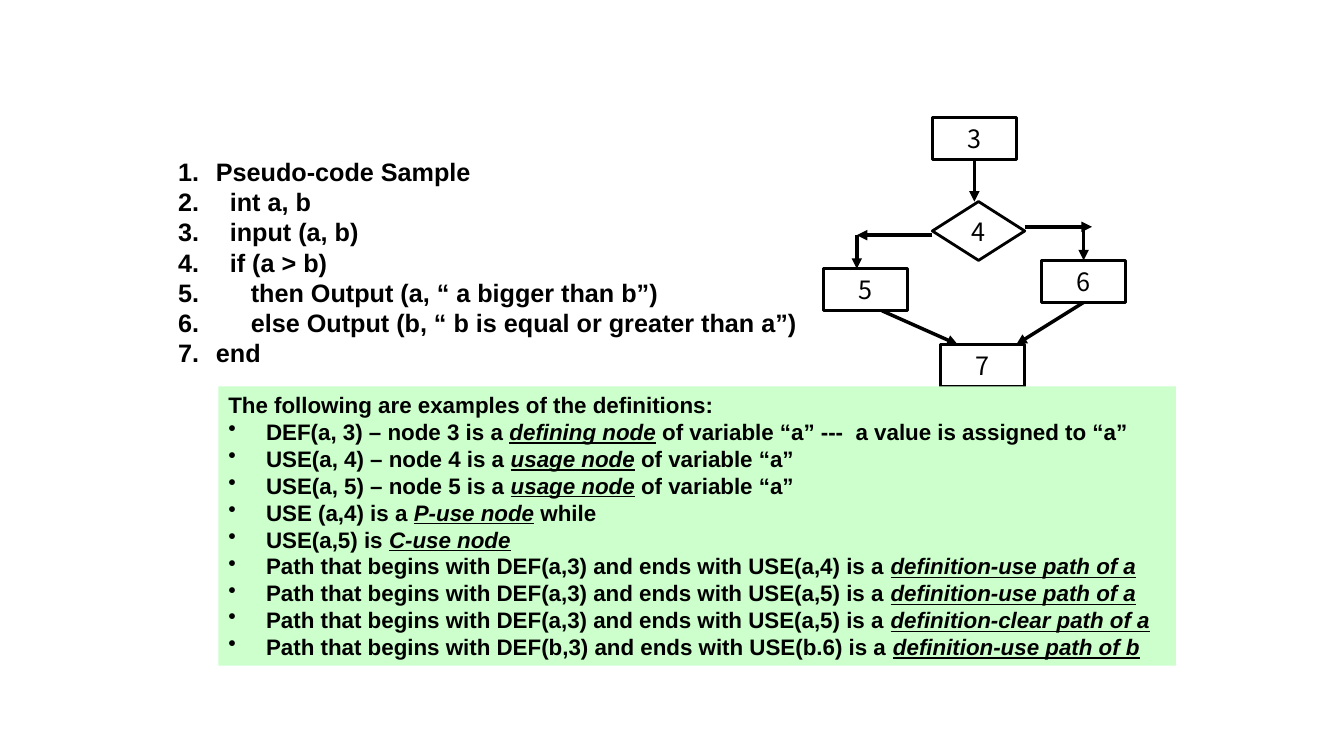
from lxml import etree
from pptx import Presentation
from pptx.dml.color import RGBColor
from pptx.enum.shapes import MSO_CONNECTOR, MSO_SHAPE
from pptx.enum.text import MSO_ANCHOR, MSO_AUTO_SIZE, PP_ALIGN
from pptx.oxml.ns import qn
from pptx.util import Pt

PX = 9525  # EMU in one px, 96 px to the inch
BLACK = RGBColor(0x00, 0x00, 0x00)
WHITE = RGBColor(0xFF, 0xFF, 0xFF)
GREEN = RGBColor(0xCC, 0xFF, 0xCC)
RECTANGLE, DIAMOND = MSO_SHAPE.RECTANGLE, MSO_SHAPE.DIAMOND
STRAIGHT = MSO_CONNECTOR.STRAIGHT
CENTER, LEFT = PP_ALIGN.CENTER, PP_ALIGN.LEFT
TOP, MIDDLE = MSO_ANCHOR.TOP, MSO_ANCHOR.MIDDLE
NO_AUTOSIZE = MSO_AUTO_SIZE.NONE

HANGING_INDENT = 36
NUMBER = ("a:buAutoNum", {"type": "arabicPeriod"})
BULLET = ("a:buChar", {"char": "•"})

CODE_FONT = {"name": "Arial", "size": Pt(18), "bold": True}
LIST_FONT = {"name": "Arial", "size": Pt(16), "bold": True}
NODE_FONT = {"name": "Noto Sans CJK SC", "size": Pt(18)}
EMPHASIS = {"italic": True, "underline": True}

CODE_LINES = [
    "Pseudo-code Sample",
    "  int a, b",
    "  input (a, b)",
    "  if (a > b)",
    "     then Output (a, “ a bigger than b”)",
    "     else Output (b, “ b is equal or greater than a”)",
    "end",
]

# Words between underscores are italic and underlined
HEADING = "The following are examples of the definitions:"
DEFINITIONS = [
    "DEF(a, 3) – node 3 is a _defining node_ of variable “a” ---  a value is assigned to “a”",
    "USE(a, 4) – node 4 is a _usage node_ of variable “a”",
    "USE(a, 5) – node 5 is a _usage node_ of variable “a”",
    "USE (a,4) is a _P-use node_ while",
    "USE(a,5) is _C-use node_",
    "Path that begins with DEF(a,3) and ends with USE(a,4) is a _definition-use path of a_",
    "Path that begins with DEF(a,3) and ends with USE(a,5) is a _definition-use path of a_",
    "Path that begins with DEF(a,3) and ends with USE(a,5) is a _definition-clear path of a_",
    "Path that begins with DEF(b,3) and ends with USE(b.6) is a _definition-use path of b_",
]

# Label, outline, left, top, width, height
NODES = [
    ("3", RECTANGLE, 888, 112, 80, 40),
    ("4", DIAMOND, 888, 192, 88, 56),
    ("5", RECTANGLE, 784, 256, 80, 40),
    ("6", RECTANGLE, 992, 248, 80, 40),
    ("7", RECTANGLE, 896, 328, 80, 40),
]

# Start x, start y, end x, end y
ARROWS = [
    (928, 152, 928, 192),
    (816, 224, 816, 256),
    (1032, 216, 1032, 248),
    (840, 296, 912, 328),
    (1032, 288, 968, 328),
    (976, 216, 1040, 216),
    (888, 224, 816, 224),
]


def emu(*lengths):
    return [length * PX for length in lengths]


def add_span(para, text, font_values):
    span = para.add_run()
    span.text = text
    for name, value in font_values.items():
        setattr(span.font, name, value)
    span.font.color.rgb = BLACK


def fill_list_para(para, text, font_values, marker=None):
    para.alignment = LEFT
    para.space_before = Pt(0)
    properties = para._p.get_or_add_pPr()
    indent = HANGING_INDENT * PX
    properties.set("marL", str(indent))
    properties.set("indent", str(-indent))
    if marker:
        tag, attributes = marker
        etree.SubElement(properties, qn(tag), attributes)
    for index, part in enumerate(text.split("_")):
        if part:
            emphasis = EMPHASIS if index % 2 else {}
            add_span(para, part, {**font_values, **emphasis})


def fill_list(frame, items, font_values):
    frame.vertical_anchor = TOP
    frame.auto_size = NO_AUTOSIZE
    for index, (text, marker) in enumerate(items):
        para = frame.add_paragraph() if index else frame.paragraphs[0]
        fill_list_para(para, text, font_values, marker)


def place_code(body):
    body.left, body.top, body.width, body.height = emu(160, 144, 616, 211)
    fill_list(body.text_frame, [(line, NUMBER) for line in CODE_LINES], CODE_FONT)
    body.text_frame.word_wrap = False


def add_box(slide, outline, bounds, color):
    box = slide.shapes.add_shape(outline, *emu(*bounds))
    box.shadow.inherit = False
    box.fill.solid()
    box.fill.fore_color.rgb = color
    return box


def add_node(slide, label, outline, *bounds):
    box = add_box(slide, outline, bounds, WHITE)
    box.line.color.rgb = BLACK
    box.line.width = Pt(2)
    frame = box.text_frame
    frame.word_wrap = False
    frame.vertical_anchor = MIDDLE
    para = frame.paragraphs[0]
    para.alignment = CENTER
    add_span(para, label, NODE_FONT)


def add_arrow(slide, *ends):
    arrow = slide.shapes.add_connector(STRAIGHT, *emu(*ends))
    arrow.line.color.rgb = BLACK
    arrow.line.width = Pt(2.5)
    etree.SubElement(arrow.line._get_or_add_ln(), qn("a:tailEnd"), {"type": "triangle"})
    etree.SubElement(arrow._element.spPr, qn("a:effectLst"))


def add_definitions(slide):
    panel = add_box(slide, RECTANGLE, (208, 368, 912, 266), GREEN)
    panel.line.fill.background()
    items = [(HEADING, None)] + [(text, BULLET) for text in DEFINITIONS]
    fill_list(panel.text_frame, items, LIST_FONT)
    panel.text_frame.word_wrap = True


def main():
    deck = Presentation()
    deck.slide_width, deck.slide_height = emu(1280, 720)
    slide = deck.slides.add_slide(deck.slide_layouts[1])

    # The slide has no title
    title = slide.shapes.title._element
    title.getparent().remove(title)

    # Numbered pseudo-code
    place_code(slide.placeholders[1])

    # Flow graph
    for node in NODES:
        add_node(slide, *node)
    for arrow in ARROWS:
        add_arrow(slide, *arrow)

    # Definitions panel, over the lower edge of node 7
    add_definitions(slide)
    deck.save("out.pptx")


if __name__ == "__main__":
    main()
